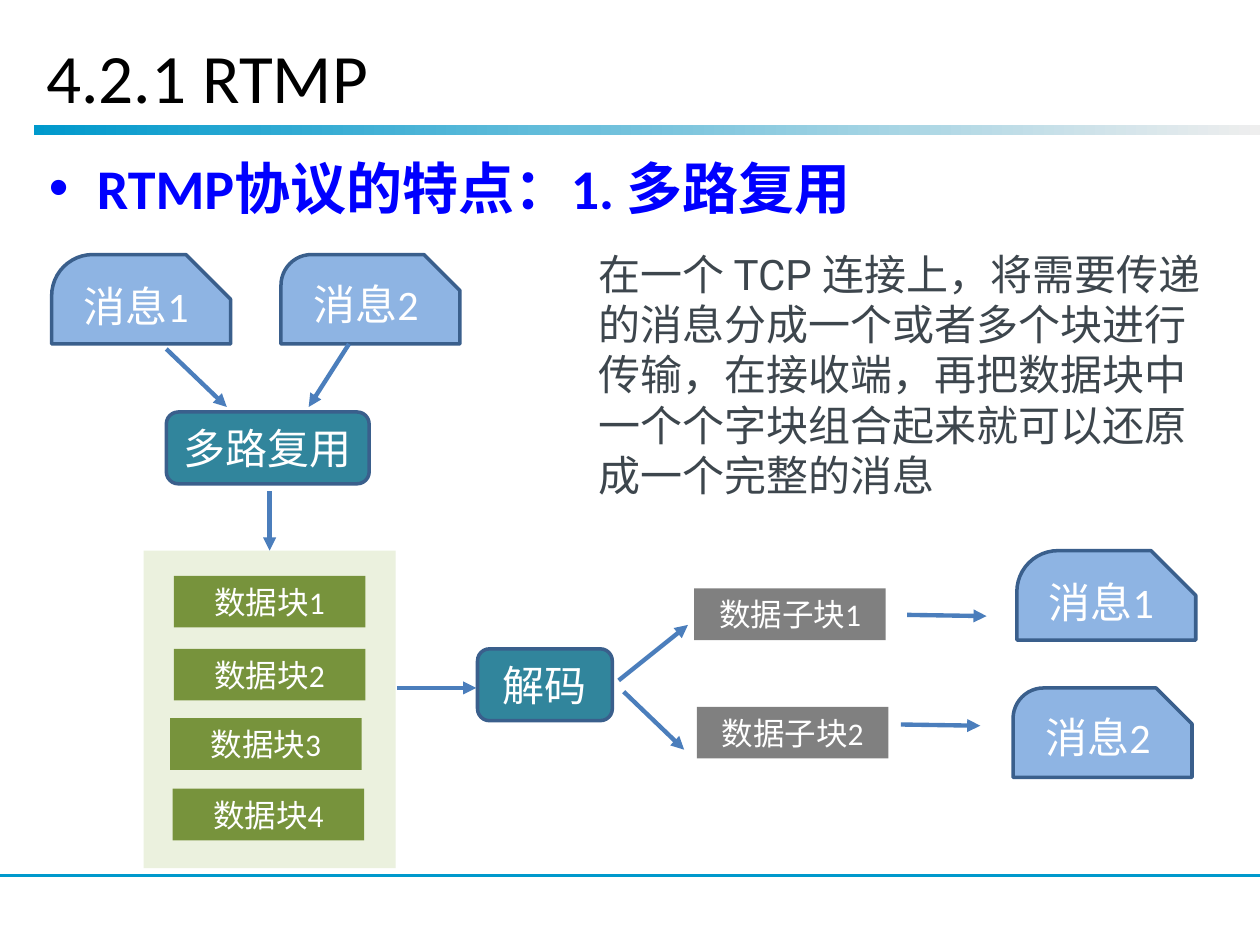
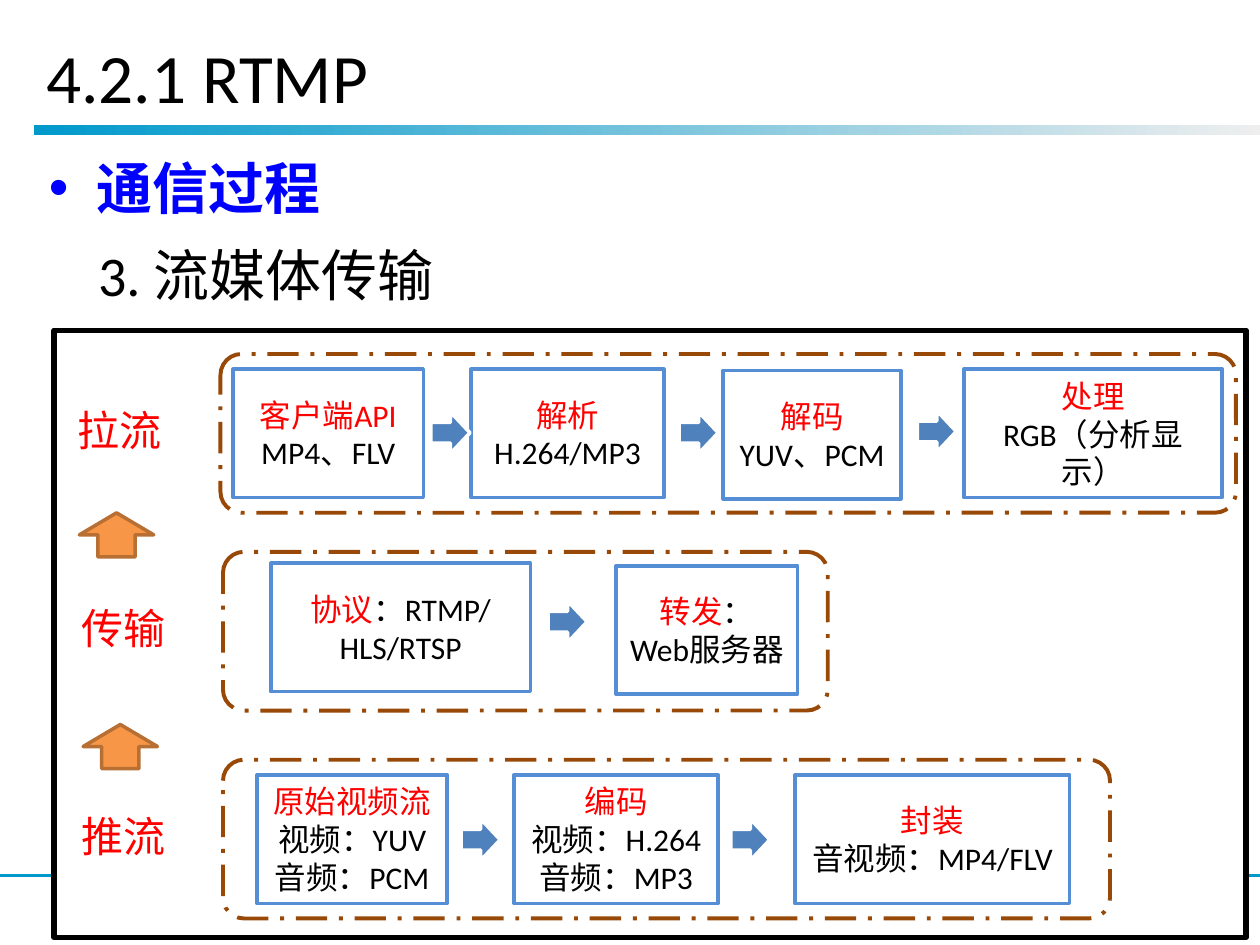
from dataclasses import dataclass

from lxml import etree
from pptx import Presentation
from pptx.dml.color import RGBColor
from pptx.enum.dml import MSO_LINE
from pptx.enum.shapes import MSO_CONNECTOR, MSO_SHAPE as SHAPE
from pptx.enum.text import MSO_ANCHOR as ANCHOR, PP_ALIGN as ALIGN
from pptx.oxml.ns import qn
from pptx.util import Inches, Pt


@dataclass(frozen=True)
class Theme:
    font: str = "Calibri"
    prose_font: str = "Roboto"
    black: str = "000000"
    white: str = "FFFFFF"
    red: str = "FF0000"
    heading: str = "0000FF"
    prose: str = "3D464D"
    accent: str = "0099CC"
    fade: str = "EEEEEE"
    message: str = "8EB4E3"
    process: str = "31859C"
    outline: str = "3A5F8C"
    link: str = "4B7EBC"
    panel: str = "EBF1DE"
    chunk: str = "77933C"
    subchunk: str = "808080"
    step: str = "558ED5"
    step_arrow: str = "4F81BD"
    group: str = "984807"
    rise: str = "F79646"
    rise_line: str = "B76F34"
    title_size: float = 39.6
    head_size: float = 32
    body_size: float = 24
    small_size: float = 18


T = Theme()


def rgb(value):
    return RGBColor.from_string(value)


# Text
def write(sp, paras, size=T.body_size, color=T.white, font=T.font, bold=False,
          align=ALIGN.CENTER, anchor=ANCHOR.MIDDLE):
    """Each paragraph is a string or a list of (text, colour) runs."""
    tf = sp.text_frame
    tf.word_wrap = True
    tf.vertical_anchor = anchor
    for i, runs in enumerate([paras] if isinstance(paras, str) else paras):
        p = tf.paragraphs[0] if i == 0 else tf.add_paragraph()
        p.alignment = align
        for text, run_color in [(runs, color)] if isinstance(runs, str) else runs:
            r = p.add_run()
            r.text = text
            r.font.name = font
            r.font.size = Pt(size)
            r.font.bold = bold
            r.font.color.rgb = rgb(run_color)


def add_text(s, box, text, color=T.black, anchor=ANCHOR.TOP, **fmt):
    sp = s.shapes.add_textbox(*map(Inches, box))
    write(sp, text, color=color, align=ALIGN.LEFT, anchor=anchor, **fmt)
    return sp


def add_bullet(sp, indent=0.38):
    pPr = sp.text_frame.paragraphs[0]._p.get_or_add_pPr()
    pPr.set("marL", str(Inches(indent)))
    pPr.set("indent", str(-Inches(indent)))
    etree.SubElement(pPr, qn("a:buFont")).set("typeface", "Arial")
    etree.SubElement(pPr, qn("a:buChar")).set("char", "•")


# Shapes and lines
def add_box(s, kind, box, fill=None, line=None, width=2, adj=()):
    sp = s.shapes.add_shape(kind, *map(Inches, box))
    sp.shadow.inherit = False
    if fill:
        sp.fill.solid()
        sp.fill.fore_color.rgb = rgb(fill)
    else:
        sp.fill.background()
    if line:
        sp.line.color.rgb = rgb(line)
        sp.line.width = Pt(width)
    else:
        sp.line.fill.background()
    for i, value in enumerate(adj):
        sp.adjustments[i] = value
    return sp


def add_line(s, start, end, color, width, arrow=False):
    c = s.shapes.add_connector(MSO_CONNECTOR.STRAIGHT, *map(Inches, start + end))
    c.line.color.rgb = rgb(color)
    c.line.width = Pt(width)
    if arrow:
        ln = c.line._get_or_add_ln()
        etree.SubElement(ln, qn("a:tailEnd")).set("type", "triangle")
    etree.SubElement(c._element.spPr, qn("a:effectLst"))


def add_message(s, number, x, y):
    adj = {1: (0.461, 0.5), 2: (0.343, 0.402)}[number]
    sp = add_box(s, SHAPE.SNIP_ROUND_RECTANGLE, (x, y, 1.42, 0.71),
                 T.message, T.outline, adj=adj)
    write(sp, f"消息{number}")


def add_process(s, text, x, y, w):
    sp = add_box(s, SHAPE.ROUNDED_RECTANGLE, (x, y, w, 0.57), T.process, T.outline)
    write(sp, text)


def add_chunk(s, text, x, y, fill):
    sp = add_box(s, SHAPE.RECTANGLE, (x, y, 1.52, 0.41), fill)
    write(sp, text, size=T.small_size)


def add_stage(s, label, label_at, frame, steps, arrows):
    """A dashed group: its label, its step boxes and the arrows between them."""
    group = add_box(s, SHAPE.ROUNDED_RECTANGLE, frame, line=T.group, width=2.25,
                    adj=(0.132,))
    group.line.dash_style = MSO_LINE.LONG_DASH_DOT
    add_text(s, (*label_at, 1.14, 0.5), label, color=T.red)
    for x, y, w, paras in steps:
        sp = add_box(s, SHAPE.RECTANGLE, (x, y, w, 1.02), line=T.step)
        write(sp, paras, size=T.small_size, color=T.black)
    for x, y in arrows:
        add_box(s, SHAPE.RIGHT_ARROW, (x, y, 0.31, 0.33), T.step_arrow, T.white)


def red(text):
    return text, T.red


# Parts both slides share
def new_slide(prs, heading):
    s = prs.slides.add_slide(prs.slide_layouts[6])
    band = add_box(s, SHAPE.RECTANGLE, (0.27, 0.99, 9.73, 0.08), T.accent)
    band.fill.gradient()
    band.fill.gradient_angle = 0
    for stop, color in zip(band.fill.gradient_stops, (T.accent, T.fade)):
        stop.color.rgb = rgb(color)
    add_line(s, (0, 6.95), (10, 6.95), T.accent, 1.5)
    add_text(s, (0.27, 0.22, 9, 0.77), "4.2.1 RTMP", size=T.title_size,
             anchor=ANCHOR.MIDDLE)
    sp = add_text(s, (0.29, 1.17, 9.6, 0.82), heading, size=T.head_size,
                  color=T.heading, bold=True)
    add_bullet(sp)
    return s


def multiplexing_slide(prs):
    s = new_slide(prs, "RTMP协议的特点：1. 多路复用")

    # Messages in and out
    for number, x, y in [(1, 0.41, 2.02), (2, 2.23, 2.02),
                         (1, 8.07, 4.37), (2, 8.04, 5.46)]:
        add_message(s, number, x, y)
    add_process(s, "多路复用", 1.32, 3.27, 1.61)
    add_process(s, "解码", 3.79, 5.15, 1.07)

    # Chunks and sub-chunks
    add_box(s, SHAPE.RECTANGLE, (1.14, 4.37, 2, 2.52), T.panel)
    chunks = [(1.38, 4.57), (1.38, 5.15), (1.35, 5.7), (1.37, 6.26)]
    for i, (x, y) in enumerate(chunks, 1):
        add_chunk(s, f"数据块{i}", x, y, T.chunk)
    for i, (x, y) in enumerate([(5.51, 4.67), (5.53, 5.61)], 1):
        add_chunk(s, f"数据子块{i}", x, y, T.subchunk)

    # Flow arrows
    for start, end in [((1.32, 2.77), (1.8, 3.23)), ((2.77, 2.73), (2.45, 3.23)),
                       ((2.14, 3.9), (2.14, 4.37)), ((3.15, 5.46), (3.78, 5.46)),
                       ((4.91, 5.4), (5.46, 4.96)), ((4.95, 5.49), (5.43, 5.95)),
                       ((7.2, 4.88), (7.83, 4.89)), ((7.15, 5.75), (7.78, 5.76))]:
        add_line(s, start, end, T.link, 2.5, arrow=True)

    add_text(s, (4.65, 1.92, 5, 2.12),
             "在一个 TCP 连接上，将需要传递的消息分成一个或者多个块进行传输，"
             "在接收端，再把数据块中一个个字块组合起来就可以还原成一个完整的消息",
             color=T.prose, font=T.prose_font)


def streaming_slide(prs):
    s = new_slide(prs, "通信过程")
    add_text(s, (0.68, 1.86, 3.53, 0.64), "3. 流媒体传输", size=T.head_size)
    add_box(s, SHAPE.RECTANGLE, (0.43, 2.62, 9.46, 4.82), T.white, T.black, 3)

    # Stages, bottom to top
    add_stage(s, "推流", (0.55, 6.38), (1.77, 6.03, 7.04, 1.26), [
        (2.04, 6.15, 1.51, [[red("原始视频流")], "视频：YUV", "音频：PCM"]),
        (4.08, 6.15, 1.62, [[red("编码")], "视频：H.264", "音频：MP3"]),
        (6.31, 6.15, 2.18, [[red("封装")], "音视频：MP4/FLV"]),
    ], [(3.66, 6.5), (5.8, 6.5)])
    add_stage(s, "传输", (0.55, 4.73), (1.77, 4.38, 4.8, 1.26), [
        (2.15, 4.47, 2.06, [[red("协议"), ("：RTMP/HLS/RTSP", T.black)]]),
        (4.89, 4.49, 1.44, [[red("转发"), ("：", T.black)], "Web服务器"]),
    ], [(4.35, 4.77)])
    add_stage(s, "拉流", (0.52, 3.16), (1.75, 2.81, 8.06, 1.26), [
        (1.85, 2.93, 1.51, [[red("客户端API")], "MP4、FLV"]),
        (3.74, 2.93, 1.53, [[red("解析")], "H.264/MP3"]),
        (5.74, 2.94, 1.41, [[red("解码")], "YUV、PCM"]),
        (7.65, 2.93, 2.05, [[red("处理")], "RGB（分析显示）"]),
    ], [(3.42, 3.27), (5.39, 3.27), (7.28, 3.26)])

    # Arrows from stage to stage
    for x, y in [(0.63, 4.07), (0.66, 5.75)]:
        add_box(s, SHAPE.UP_ARROW, (x, y, 0.59, 0.35), T.rise, T.rise_line)


def main():
    prs = Presentation()
    prs.slide_width, prs.slide_height = Inches(10), Inches(7.5)
    multiplexing_slide(prs)
    streaming_slide(prs)
    prs.save("out.pptx")


if __name__ == "__main__":
    main()
